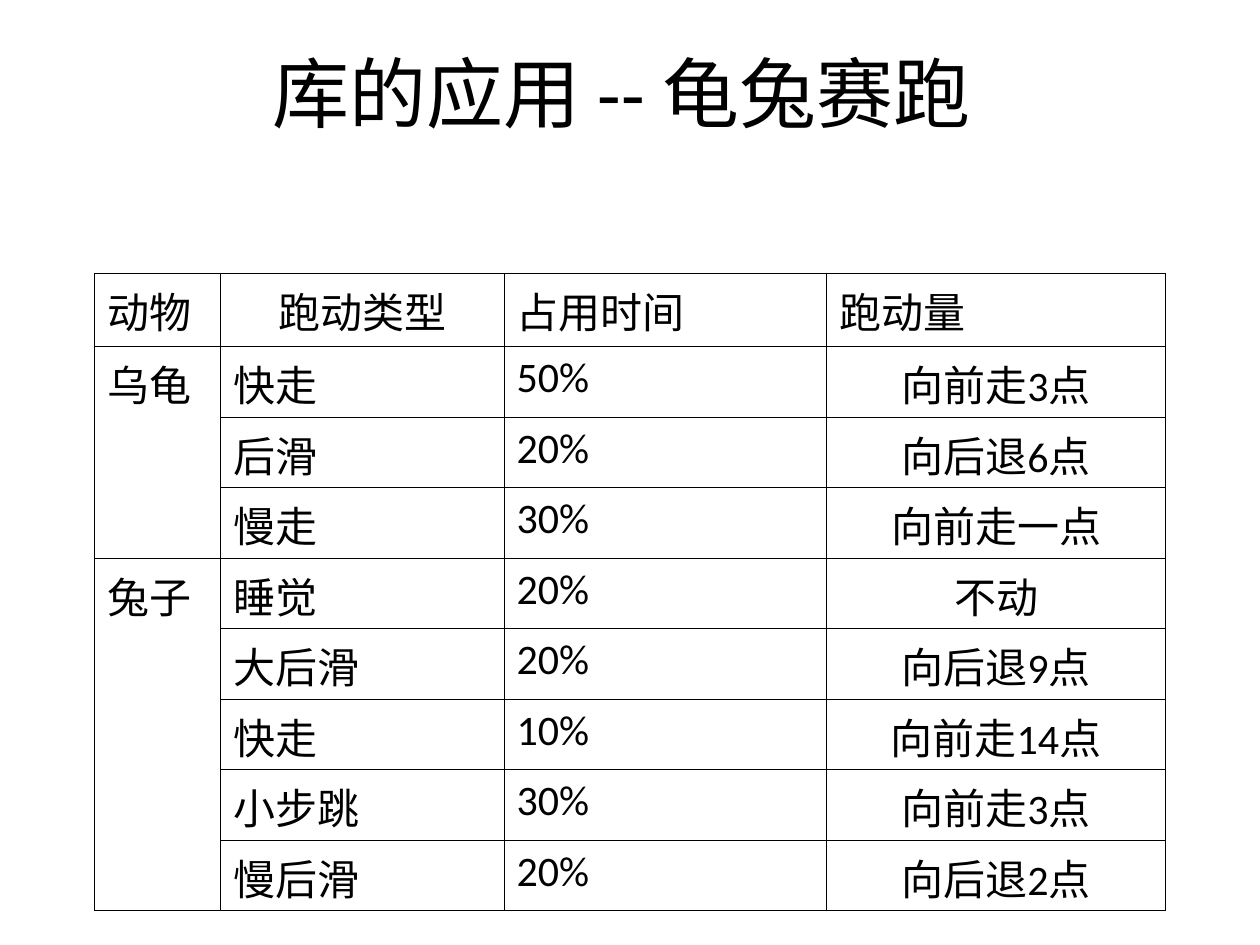
import pptx
import pptx.util
import pptx.dml.color
import pptx.enum.text
import pptx.oxml
import pptx.oxml.ns
from dataclasses import dataclass

Inches = pptx.util.Inches
Pt = pptx.util.Pt
Align = pptx.enum.text.PP_ALIGN


@dataclass(frozen=True)
class Theme:
    font: str = "Calibri"
    ink: str = "000000"
    title_size: int = 44
    cell_size: int = 24
    border_width: float = 0.45


theme = Theme()
title = "库的应用 -- 龟兔赛跑 "
header = ("动物", "跑动类型", "占用时间", "跑动量")
animals = {
    "乌龟": [
        ("快走", "50%", "向前走3点"),
        ("后滑", "20%", "向后退6点"),
        ("慢走", "30%", "向前走一点"),
    ],
    "兔子": [
        ("睡觉", "20%", "不动"),
        ("大后滑", "20%", "向后退9点"),
        ("快走", "10%", "向前走14点"),
        ("小步跳", "30%", "向前走3点"),
        ("慢后滑", "20%", "向后退2点"),
    ],
}
column_widths = (1, 2.25, 2.56, 2.69)
header_height, row_height = 0.58, 0.56


def write(frame, text, size, align):
    para = frame.paragraphs[0]
    para.text = text
    para.alignment = align
    para.font.name = theme.font
    para.font.size = Pt(size)
    para.font.color.rgb = pptx.dml.color.RGBColor.from_string(theme.ink)


def add_borders(cell):
    properties = cell._tc.get_or_add_tcPr()
    for side in ("lnL", "lnR", "lnT", "lnB"):
        properties.append(pptx.oxml.parse_xml(
            f'<a:{side} {pptx.oxml.ns.nsdecls("a")} w="{Pt(theme.border_width)}">'
            f'<a:solidFill><a:srgbClr val="{theme.ink}"/></a:solidFill></a:{side}>'
        ))


deck = pptx.Presentation()
deck.slide_width, deck.slide_height = Inches(10), Inches(7.5)
page = deck.slides.add_slide(deck.slide_layouts[6])

box = page.shapes.add_textbox(Inches(0.5), Inches(0.3), Inches(9), Inches(0.85))
box.text_frame.word_wrap = True
box.text_frame.vertical_anchor = pptx.enum.text.MSO_ANCHOR.MIDDLE
write(box.text_frame, title, theme.title_size, Align.CENTER)

rows = [header]
groups = []
for animal, moves in animals.items():
    groups.append((len(rows), len(rows) + len(moves) - 1))
    for index, move in enumerate(moves):
        rows.append((animal if index == 0 else "", *move))

heights = [header_height] + [row_height] * (len(rows) - 1)
table = page.shapes.add_table(
    len(rows), len(header), Inches(0.75), Inches(2.17),
    Inches(sum(column_widths)), Inches(sum(heights)),
).table
table.first_row = False
table.horz_banding = False
for column, width in zip(table.columns, column_widths):
    column.width = Inches(width)
for row, height in zip(table.rows, heights):
    row.height = Inches(height)

for row_index, values in enumerate(rows):
    centred_column = 1 if row_index == 0 else 3
    for column_index, value in enumerate(values):
        cell = table.cell(row_index, column_index)
        add_borders(cell)
        cell.fill.background()
        align = Align.CENTER if column_index == centred_column else Align.LEFT
        write(cell.text_frame, value, theme.cell_size, align)

for first, last in groups:
    table.cell(first, 0).merge(table.cell(last, 0))

deck.save("out.pptx")
